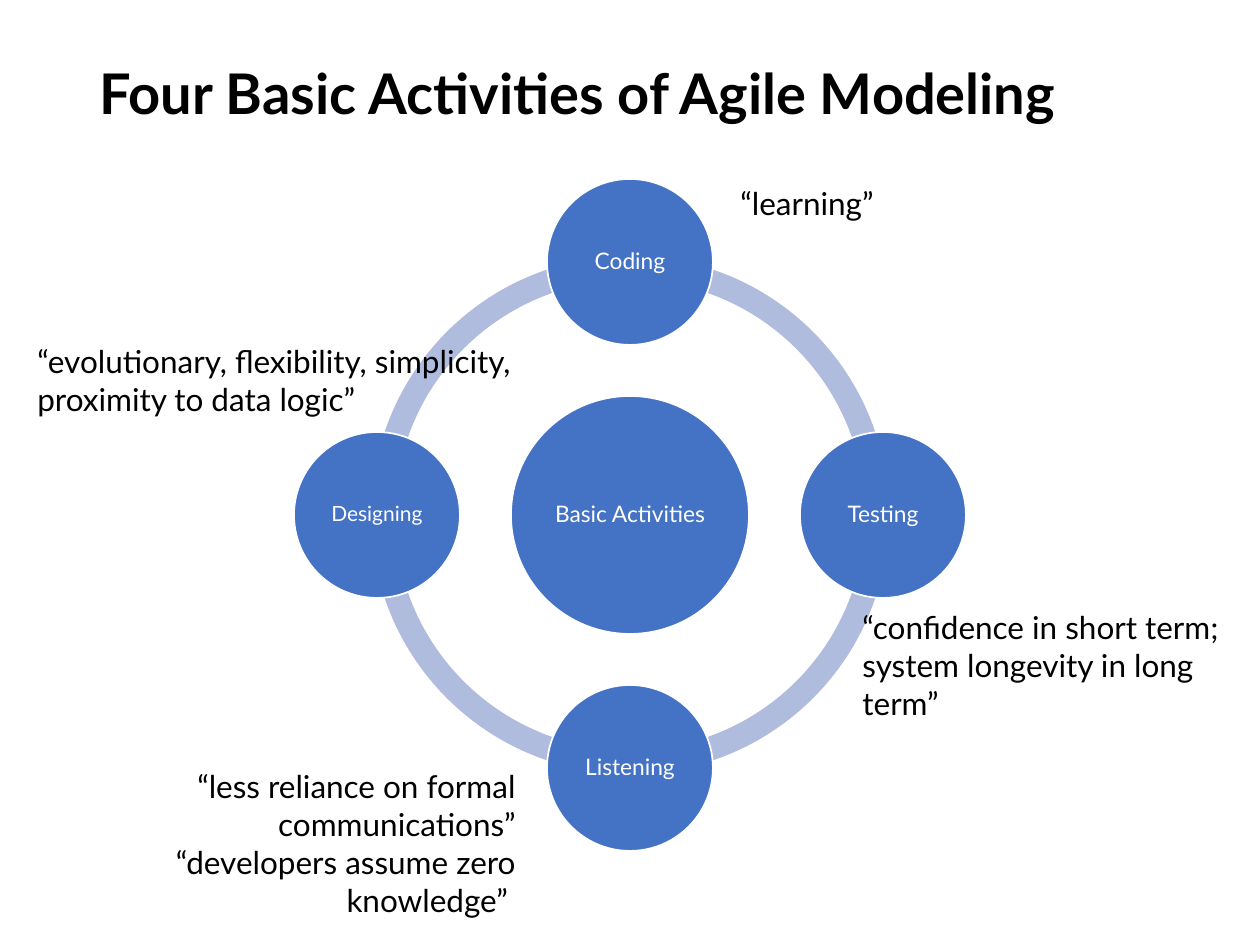
"""Build the slide on the four basic activities of agile modeling."""
from dataclasses import dataclass

from pptx import Presentation
from pptx.dml.color import RGBColor
from pptx.enum.shapes import MSO_SHAPE
from pptx.enum.text import MSO_ANCHOR, MSO_AUTO_SIZE, PP_ALIGN
from pptx.shapes.autoshape import Shape
from pptx.slide import Slide
from pptx.text.text import _Paragraph
from pptx.util import Emu, Pt

ARC, OVAL = MSO_SHAPE.BLOCK_ARC, MSO_SHAPE.OVAL
MIDDLE = MSO_ANCHOR.MIDDLE
FIT, FIXED = MSO_AUTO_SIZE.SHAPE_TO_FIT_TEXT, MSO_AUTO_SIZE.NONE
LEFT, CENTER, RIGHT = PP_ALIGN.LEFT, PP_ALIGN.CENTER, PP_ALIGN.RIGHT

BLACK = RGBColor(0x00, 0x00, 0x00)
WHITE = RGBColor(0xFF, 0xFF, 0xFF)
BLUE = RGBColor(0x44, 0x72, 0xC4)
PALE = RGBColor(0xB0, 0xBC, 0xDE)

FACE = "Lato"
SCALE = 914400 / 126
MID_X, MID_Y = 630, 515
RING, ORBIT = 518, 253
HUB, NODE = 238, 166
QUARTER, BAND = 54, 0.046


@dataclass
class Disc:
    text: str
    col: int
    row: int
    width: int = NODE
    size: int = 13


@dataclass
class Note:
    lines: list[str]
    left: int
    top: int
    width: int
    height: int
    align: PP_ALIGN = LEFT


DISCS = [
    Disc("Basic Activities", 0, 0, HUB),
    Disc("Coding", 0, -1),
    Disc("Testing", 1, 0),
    Disc("Listening", 0, 1),
    Disc("Designing", -1, 0, size=12),
]
NOTES = [
    Note(["“learning”"], 728, 178, 173, 50),
    Note(["“less reliance on formal communications”",
          "“developers assume zero knowledge” "], 58, 761, 470, 165, RIGHT),
    Note(["“confidence in short term;", "system longevity in long term”"],
         850, 602, 410, 127),
    Note(["“evolutionary, flexibility, simplicity, proximity to data logic”"],
         25, 336, 503, 89),
]


def px(count: int) -> Emu:
    """Turn pixels into EMU."""
    return Emu(round(count * SCALE))


def style(para: _Paragraph, size: int, color: RGBColor, align: PP_ALIGN) -> None:
    """Set the font and alignment of a paragraph."""
    para.alignment = align
    para.font.name = FACE
    para.font.size = Pt(size)
    para.font.color.rgb = color


def add_round(slide: Slide, kind: MSO_SHAPE, mid_x: int, mid_y: int,
              width: int, fill: RGBColor) -> Shape:
    """Add a filled round shape about a center point."""
    half = width // 2
    shape = slide.shapes.add_shape(
        kind, px(mid_x - half), px(mid_y - half), px(width), px(width))
    shape.shadow.inherit = False
    shape.fill.solid()
    shape.fill.fore_color.rgb = fill
    shape.line.fill.background()
    return shape


def add_arc(slide: Slide, start: int) -> None:
    """Add one quarter of the ring."""
    arc = add_round(slide, ARC, MID_X, MID_Y, RING, PALE)
    for index, value in enumerate((start, (start + QUARTER) % (4 * QUARTER), BAND)):
        arc.adjustments[index] = value


def add_disc(slide: Slide, disc: Disc) -> None:
    """Add a labelled disc at its place on the orbit."""
    shape = add_round(slide, OVAL, MID_X + disc.col * ORBIT,
                      MID_Y + disc.row * ORBIT, disc.width, BLUE)
    shape.line.color.rgb = WHITE
    shape.line.width = Pt(1)
    frame = shape.text_frame
    frame.word_wrap = True
    frame.vertical_anchor = MIDDLE
    frame.margin_left = frame.margin_right = px(2)
    frame.margin_top = frame.margin_bottom = px(2)
    frame.text = disc.text
    para = frame.paragraphs[0]
    para.line_spacing = 0.9
    style(para, disc.size, WHITE, CENTER)


def add_note(slide: Slide, note: Note) -> None:
    """Add a quoted remark beside a disc."""
    box = slide.shapes.add_textbox(
        px(note.left), px(note.top), px(note.width), px(note.height))
    frame = box.text_frame
    frame.word_wrap = True
    frame.auto_size = FIT
    frame.text = "\n".join(note.lines)
    for para in frame.paragraphs:
        style(para, 18, BLACK, note.align)


def set_title(slide: Slide, text: str) -> None:
    """Fill and place the title."""
    title = slide.shapes.title
    title.left, title.top, title.width, title.height = map(px, (87, 50, 1086, 93))
    frame = title.text_frame
    frame.auto_size = FIXED
    frame.vertical_anchor = MIDDLE
    frame.text = text
    para = frame.paragraphs[0]
    para.line_spacing = 0.9
    para.font.bold = True
    style(para, 32, BLACK, LEFT)


def main() -> None:
    """Build and save the slide."""
    deck = Presentation()
    deck.slide_width, deck.slide_height = px(1260), px(945)
    slide = deck.slides.add_slide(deck.slide_layouts[5])
    set_title(slide, "Four Basic Activities of Agile Modeling")
    for turn in (2, 1, 0, 3):
        add_arc(slide, turn * QUARTER)
    for disc in DISCS:
        add_disc(slide, disc)
    for note in NOTES:
        add_note(slide, note)
    deck.save("out.pptx")


if __name__ == "__main__":
    main()
